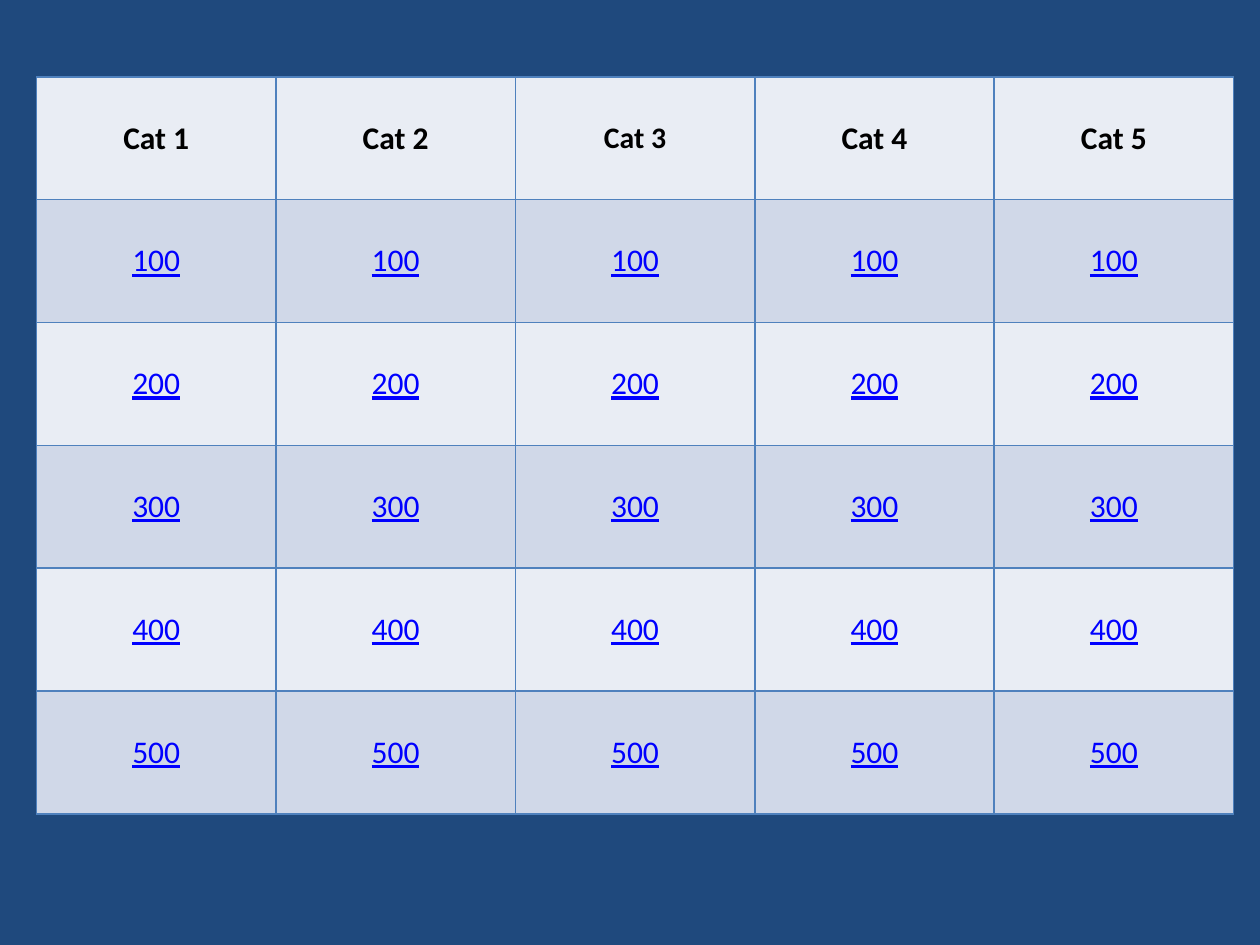
from dataclasses import dataclass

from lxml import etree
from pptx import Presentation
from pptx.dml.color import RGBColor
from pptx.enum.text import MSO_ANCHOR, PP_ALIGN
from pptx.oxml.ns import qn
from pptx.table import _Cell
from pptx.util import Inches, Pt

CENTER = PP_ALIGN.CENTER
MIDDLE = MSO_ANCHOR.MIDDLE
FONT = "Calibri"
BACKGROUND = "1F497D"
BORDER = "4F81BD"
BANDS = ("E9EDF4", "D0D8E8")
CATEGORIES = 5
POINTS = (100, 200, 300, 400, 500)


@dataclass
class Entry:
    text: str
    color: str = "0000FF"
    size: int = 18
    bold: bool = False
    underline: bool = True


def rgb(value: str) -> RGBColor:
    return RGBColor.from_string(value)


def set_borders(cell: _Cell, color: str, width: int) -> None:
    tc_pr = cell._tc.get_or_add_tcPr()
    for side in ("a:lnL", "a:lnR", "a:lnT", "a:lnB"):
        ln = etree.SubElement(tc_pr, qn(side), w=str(width))
        fill = etree.SubElement(ln, qn("a:solidFill"))
        etree.SubElement(fill, qn("a:srgbClr"), val=color)


def fill_cell(cell: _Cell, entry: Entry, band: str) -> None:
    set_borders(cell, BORDER, Pt(1))
    cell.fill.solid()
    cell.fill.fore_color.rgb = rgb(band)
    cell.vertical_anchor = MIDDLE
    p = cell.text_frame.paragraphs[0]
    p.alignment = CENTER
    r = p.add_run()
    r.text = entry.text
    r.font.name = FONT
    r.font.size = Pt(entry.size)
    r.font.bold = entry.bold
    r.font.underline = entry.underline
    r.font.color.rgb = rgb(entry.color)


# Slide and background
prs = Presentation()
prs.slide_width, prs.slide_height = Inches(10), Inches(7.5)
s = prs.slides.add_slide(prs.slide_layouts[6])
s.background.fill.solid()
s.background.fill.fore_color.rgb = rgb(BACKGROUND)

# Board content: category headings, then one row per point value
headings = [
    Entry(f"Cat {n}", "000000", 17 if n == 3 else 18, True, False)
    for n in range(1, CATEGORIES + 1)
]
board = [headings] + [[Entry(str(value))] * CATEGORIES for value in POINTS]

# Game board table
table = s.shapes.add_table(
    len(board), CATEGORIES, Inches(0.29), Inches(0.61), Inches(9.5), Inches(5.85)
).table
for i, row in enumerate(board):
    for j, entry in enumerate(row):
        fill_cell(table.cell(i, j), entry, BANDS[i % 2])

prs.save("out.pptx")
